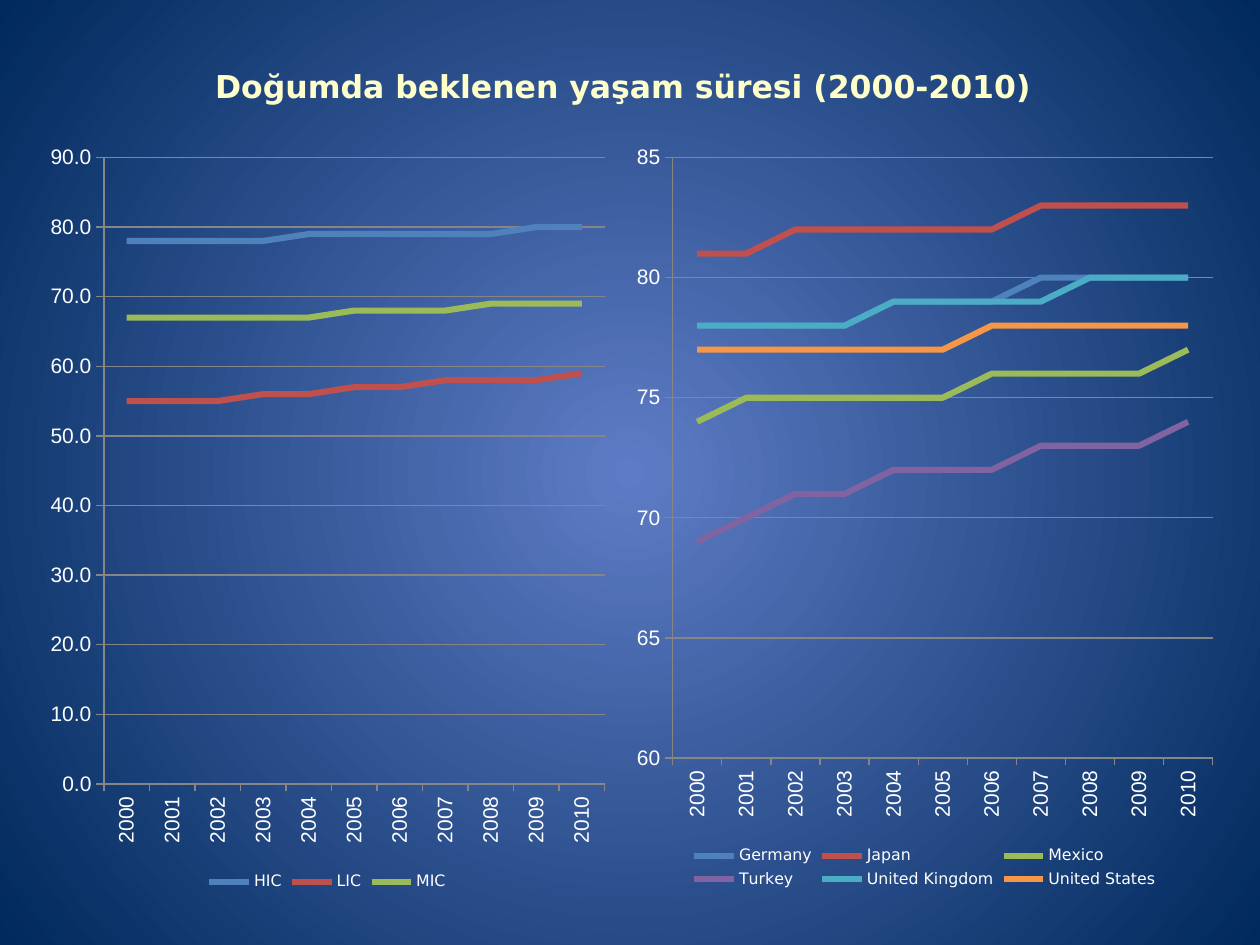
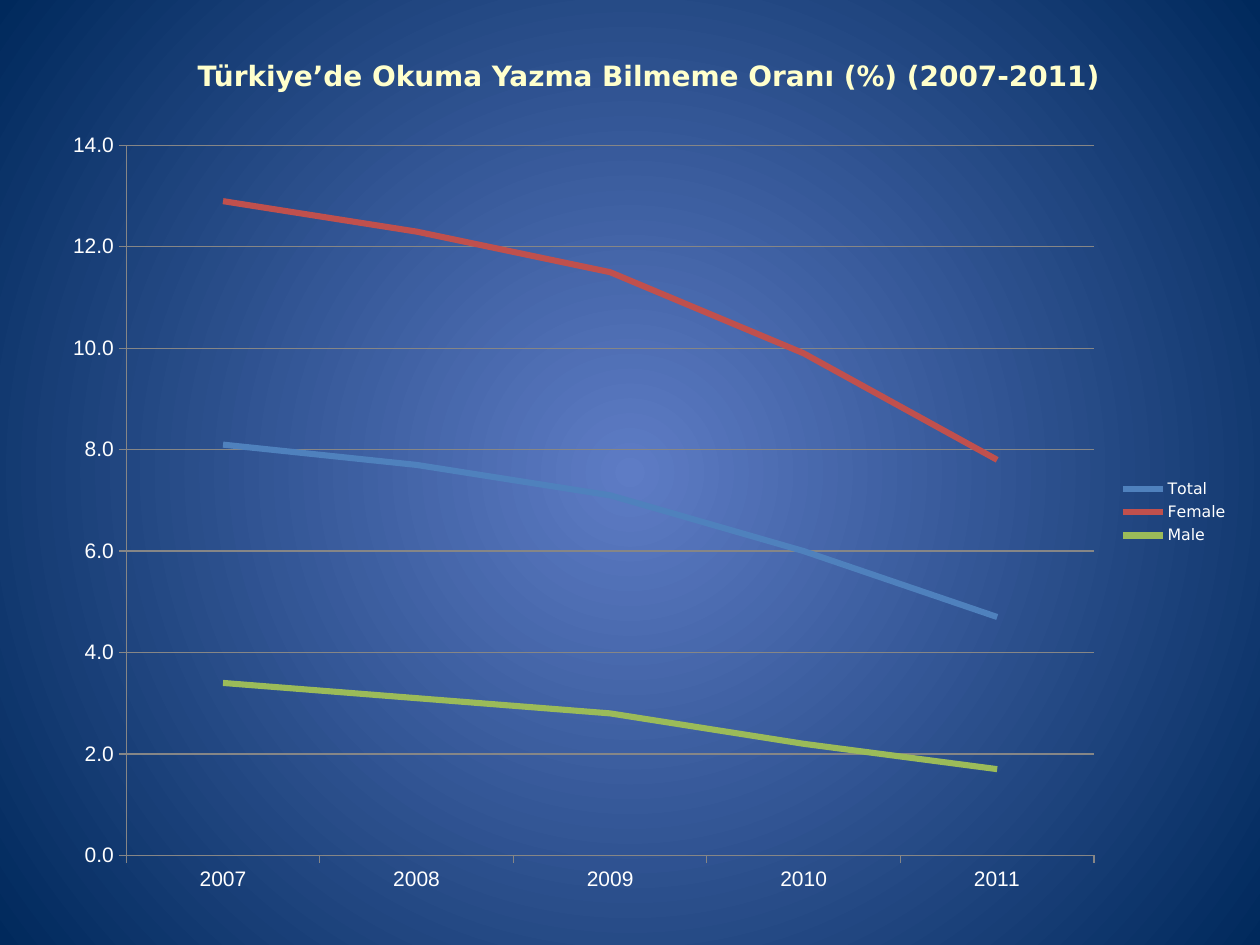
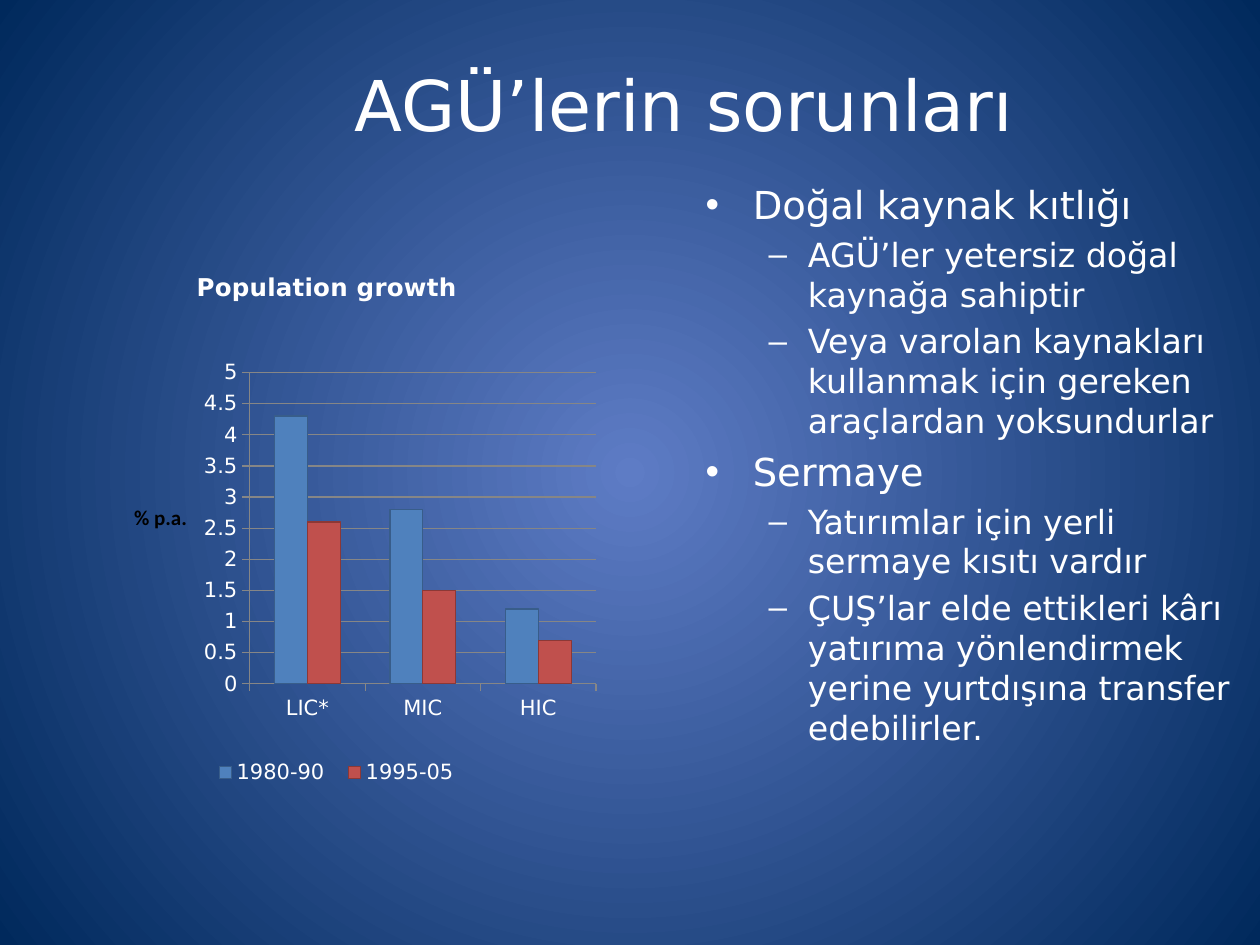
from lxml.etree import SubElement
from pptx import Presentation
from pptx.chart.data import CategoryChartData
from pptx.dml.color import RGBColor
from pptx.enum.chart import XL_CHART_TYPE, XL_LEGEND_POSITION, XL_TICK_LABEL_POSITION, XL_TICK_MARK
from pptx.enum.text import MSO_ANCHOR, MSO_AUTO_SIZE, PP_ALIGN
from pptx.oxml import parse_xml
from pptx.oxml.ns import nsdecls, qn
from pptx.util import Inches, Pt

GLOW = RGBColor(0x5E, 0x7C, 0xC5)
NAVY = RGBColor(0x00, 0x29, 0x5C)
WHITE = RGBColor(0xFF, 0xFF, 0xFF)
BLACK = RGBColor(0x00, 0x00, 0x00)
CREAM = RGBColor(0xFF, 0xFF, 0xCC)
GREY = RGBColor(0x86, 0x86, 0x86)
BLUE = RGBColor(0x4F, 0x81, 0xBD)
RED = RGBColor(0xC0, 0x50, 0x4D)
GREEN = RGBColor(0x9B, 0xBB, 0x59)
PURPLE = RGBColor(0x80, 0x64, 0xA2)
AQUA = RGBColor(0x4B, 0xAC, 0xC6)
ORANGE = RGBColor(0xF7, 0x96, 0x46)
SERIES_COLORS = (BLUE, RED, GREEN, PURPLE, AQUA, ORANGE)
BAR_OUTLINES = (RGBColor(0x38, 0x5D, 0x8A), RGBColor(0x8C, 0x38, 0x36))

TEXT_FONT = "DejaVu Sans"
AXIS_FONT = "Arial"
AXIS_TITLE_FONT = "Calibri"
TITLE_ONLY, TITLE_AND_CONTENT = 5, 1


def style_font(font, size, color=WHITE, name=TEXT_FONT, bold=False):
    font.name = name
    font.size = Pt(size)
    font.bold = bold
    font.color.rgb = color


def set_layout(parent, index, inner=False, **fractions):
    for layout in parent.findall(qn("c:layout")):
        parent.remove(layout)
    layout = parse_xml(f"<c:layout {nsdecls('c')}><c:manualLayout/></c:layout>")
    manual = layout[0]
    if inner:
        SubElement(manual, qn("c:layoutTarget")).set("val", "inner")
    for mode in ("xMode", "yMode"):
        SubElement(manual, qn(f"c:{mode}")).set("val", "edge")
    for name, value in fractions.items():
        SubElement(manual, qn(f"c:{name}")).set("val", str(value))
    parent.insert(index, layout)


class Deck:
    def __init__(self):
        self.presentation = Presentation()
        self.presentation.slide_width = Inches(10)
        self.presentation.slide_height = Inches(7.5)
        self.slide = None
        self.paint_background()

    def paint_background(self):
        master = self.presentation.slide_master
        fill = master.background.fill
        fill.gradient()
        for stop, color in zip(fill.gradient_stops, (GLOW, NAVY)):
            stop.color.rgb = color
        gradient = master.element.find(".//" + qn("p:bgPr") + "/" + qn("a:gradFill"))
        gradient.replace(gradient.find(qn("a:lin")), parse_xml(
            f'<a:path {nsdecls("a")} path="circle">'
            '<a:fillToRect l="50000" t="50000" r="50000" b="50000"/></a:path>'))

    def add_slide(self, layout):
        self.slide = self.presentation.slides.add_slide(self.presentation.slide_layouts[layout])

    def place(self, shape, box):
        shape.left, shape.top, shape.width, shape.height = map(Inches, box)

    def title(self, text, box, size, color=CREAM, bold=True):
        shape = self.slide.shapes.title
        self.place(shape, box)
        text_frame = shape.text_frame
        text_frame.auto_size = MSO_AUTO_SIZE.NONE
        text_frame.vertical_anchor = MSO_ANCHOR.MIDDLE
        text_frame.text = text
        paragraph = text_frame.paragraphs[0]
        paragraph.alignment = PP_ALIGN.CENTER
        style_font(paragraph.runs[0].font, size, color, bold=bold)

    def bullets(self, items, box, sizes):
        shape = self.slide.placeholders[1]
        self.place(shape, box)
        text_frame = shape.text_frame
        text_frame.auto_size = MSO_AUTO_SIZE.NONE
        text_frame.text = "\n".join(text for level, text in items)
        for paragraph, (level, text) in zip(text_frame.paragraphs, items):
            paragraph.level = level
            style_font(paragraph.runs[0].font, sizes[level])
        text_frame.paragraphs[0].space_before = Pt(0)

    def chart(self, kind, box, categories, series, scale, size, axis_font, axis_format, legend):
        data = CategoryChartData()
        data.categories = categories
        for name, values in series.items():
            data.add_series(name, values)
        chart = self.slide.shapes.add_chart(kind, *map(Inches, box), data).chart
        chart.has_title = False
        style_font(chart.font, size)
        chart.has_legend = True
        chart.legend.position = legend
        chart.legend.include_in_layout = False
        style_font(chart.legend.font, size)
        chart.plots[0].vary_by_categories = False
        for axis in (chart.category_axis, chart.value_axis):
            axis.major_tick_mark = XL_TICK_MARK.OUTSIDE
            axis.format.line.color.rgb = GREY
            axis.format.line.width = Pt(0.75)
            style_font(axis.tick_labels.font, 12, name=axis_font)
        axis = chart.value_axis
        axis.minimum_scale, axis.maximum_scale, axis.major_unit = scale
        axis.has_major_gridlines = True
        axis.major_gridlines.format.line.color.rgb = GREY
        axis.major_gridlines.format.line.width = Pt(0.75)
        axis.tick_labels.number_format = axis_format
        axis.tick_labels.number_format_is_linked = False
        return chart

    def line_chart(self, box, categories, series, scale, axis_format="0.0",
                   legend=XL_LEGEND_POSITION.BOTTOM, upright_labels=False):
        chart = self.chart(XL_CHART_TYPE.LINE, box, categories, series, scale,
                           9, AXIS_FONT, axis_format, legend)
        for line, color in zip(chart.series, SERIES_COLORS):
            line.smooth = False
            line.format.line.color.rgb = color
            line.format.line.width = Pt(3.5)
        if upright_labels:
            body = chart.element.xpath(".//c:catAx/c:txPr/a:bodyPr")[0]
            body.set("rot", "-5400000")
            body.set("vert", "horz")

    def column_chart(self, box, categories, series, scale, title, value_title):
        chart = self.chart(XL_CHART_TYPE.COLUMN_CLUSTERED, box, categories, series, scale,
                           12, TEXT_FONT, "General", XL_LEGEND_POSITION.BOTTOM)
        chart.category_axis.tick_label_position = XL_TICK_LABEL_POSITION.LOW
        chart.plots[0].gap_width = 150
        chart.plots[0].overlap = 0
        for column, color, outline in zip(chart.series, SERIES_COLORS, BAR_OUTLINES):
            column.format.fill.solid()
            column.format.fill.fore_color.rgb = color
            column.format.line.color.rgb = outline
            column.format.line.width = Pt(0.75)
        chart.has_title = True
        value_axis = chart.value_axis
        value_axis.has_title = True
        for heading, text, size, color, name in (
                (chart.chart_title, title, 14, WHITE, TEXT_FONT),
                (value_axis.axis_title, value_title, 12, BLACK, AXIS_TITLE_FONT)):
            heading.text_frame.text = text
            run = heading.text_frame.paragraphs[0].runs[0]
            style_font(run.font, size, color, name, bold=True)
        axis_title = chart.element.xpath(".//c:valAx/c:title")[0]
        body = axis_title.find(".//" + qn("a:bodyPr"))
        body.set("rot", "0")
        body.set("vert", "horz")
        set_layout(axis_title, 1, x=0.04, y=0.44)
        set_layout(chart.element.xpath("./c:chart/c:title")[0], 1, x=0.16, y=0.02)
        set_layout(chart.element.xpath(".//c:legend")[0], 1, x=0.18, y=0.9, w=0.52, h=0.06)
        set_layout(chart.element.xpath(".//c:plotArea")[0], 0, inner=True,
                   x=0.272, y=0.212, w=0.672, h=0.559)


def life_expectancy_slide(deck):
    years = [str(year) for year in range(2000, 2011)]
    deck.add_slide(TITLE_ONLY)
    deck.title("Doğumda beklenen yaşam süresi (2000-2010)", (1, 0.24, 7.89, 0.88), 18)
    deck.line_chart((0.31, 1.04, 4.58, 6.07), years, {
        "HIC": (78, 78, 78, 78, 79, 79, 79, 79, 79, 80, 80),
        "LIC": (55, 55, 55, 56, 56, 57, 57, 58, 58, 58, 59),
        "MIC": (67, 67, 67, 67, 67, 68, 68, 68, 69, 69, 69),
    }, (0, 90, 10), upright_labels=True)
    deck.line_chart((4.96, 1.04, 4.76, 6.05), years, {
        "Germany": (78, 78, 78, 78, 79, 79, 79, 80, 80, 80, 80),
        "Japan": (81, 81, 82, 82, 82, 82, 82, 83, 83, 83, 83),
        "Mexico": (74, 75, 75, 75, 75, 75, 76, 76, 76, 76, 77),
        "Turkey": (69, 70, 71, 71, 72, 72, 72, 73, 73, 73, 74),
        "United Kingdom": (78, 78, 78, 78, 79, 79, 79, 79, 80, 80, 80),
        "United States": (77, 77, 77, 77, 77, 77, 78, 78, 78, 78, 78),
    }, (60, 85, 5), axis_format="General", upright_labels=True)


def illiteracy_slide(deck):
    deck.add_slide(TITLE_ONLY)
    deck.title("Türkiye’de Okuma Yazma Bilmeme Oranı (%) (2007-2011)", (1, 0.24, 8.3, 0.72), 16)
    deck.line_chart((0.39, 0.94, 9.46, 6.25), [str(year) for year in range(2007, 2012)], {
        "Total": (8.1, 7.7, 7.1, 6, 4.7),
        "Female": (12.9, 12.3, 11.5, 9.9, 7.8),
        "Male": (3.4, 3.1, 2.8, 2.2, 1.7),
    }, (0, 14, 2), legend=XL_LEGEND_POSITION.RIGHT)


def problems_slide(deck):
    deck.add_slide(TITLE_AND_CONTENT)
    deck.title("AGÜ’lerin sorunları", (0.86, 0.2, 9.14, 1.25), 40, WHITE, bold=False)
    deck.bullets((
        (0, "Doğal kaynak kıtlığı"),
        (1, "AGÜ’ler yetersiz doğal kaynağa sahiptir"),
        (1, "Veya varolan kaynakları kullanmak için gereken araçlardan yoksundurlar"),
        (0, "Sermaye"),
        (1, "Yatırımlar için yerli sermaye kısıtı vardır"),
        (1, "ÇUŞ’lar elde ettikleri kârı yatırıma yönlendirmek yerine yurtdışına "
            "transfer edebilirler."),
    ), (5.5, 1.39, 4.5, 4.93), sizes=(22, 19))
    deck.column_chart((0.87, 2.02, 4.09, 4.42), ("LIC*", "MIC", "HIC"), {
        "1980-90": (4.3, 2.8, 1.2),
        "1995-05": (2.6, 1.5, 0.7),
    }, (0, 5, 0.5), "Population growth", "% p.a.")


def main():
    deck = Deck()
    life_expectancy_slide(deck)
    illiteracy_slide(deck)
    problems_slide(deck)
    deck.presentation.save("out.pptx")


if __name__ == "__main__":
    main()
